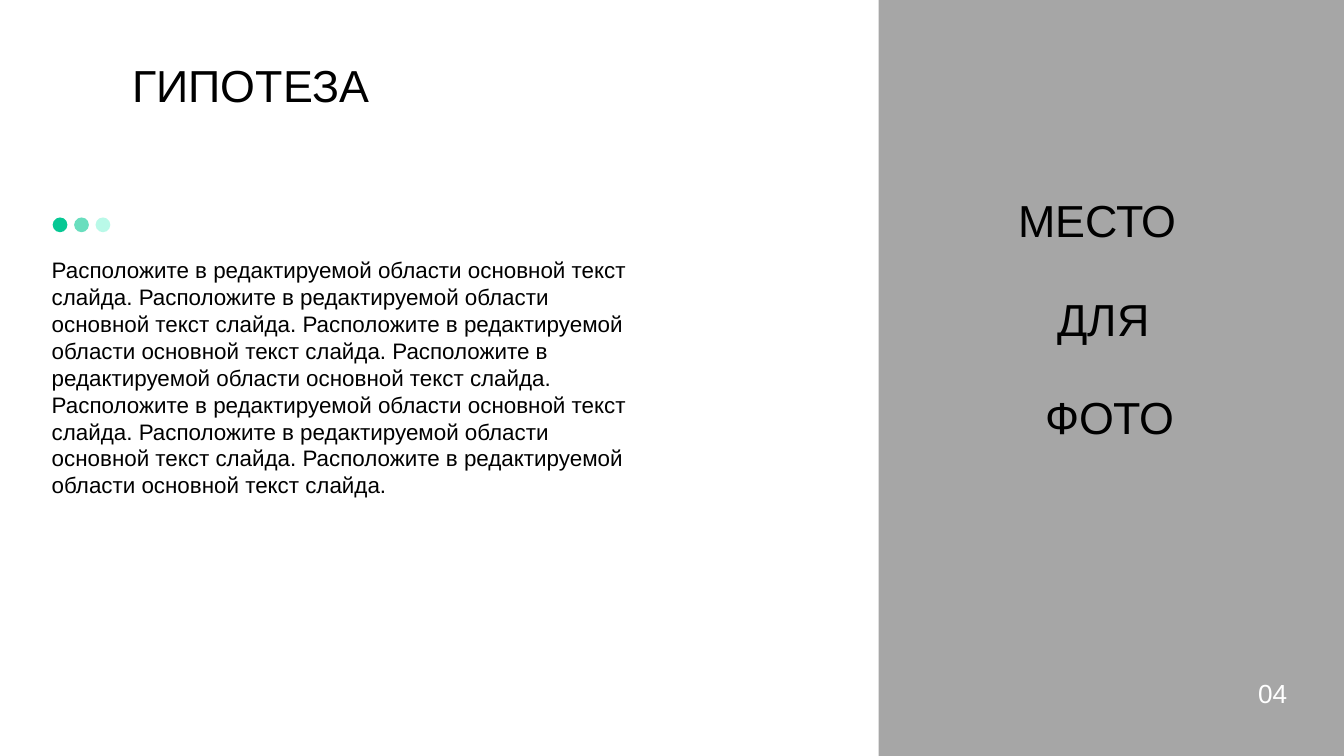
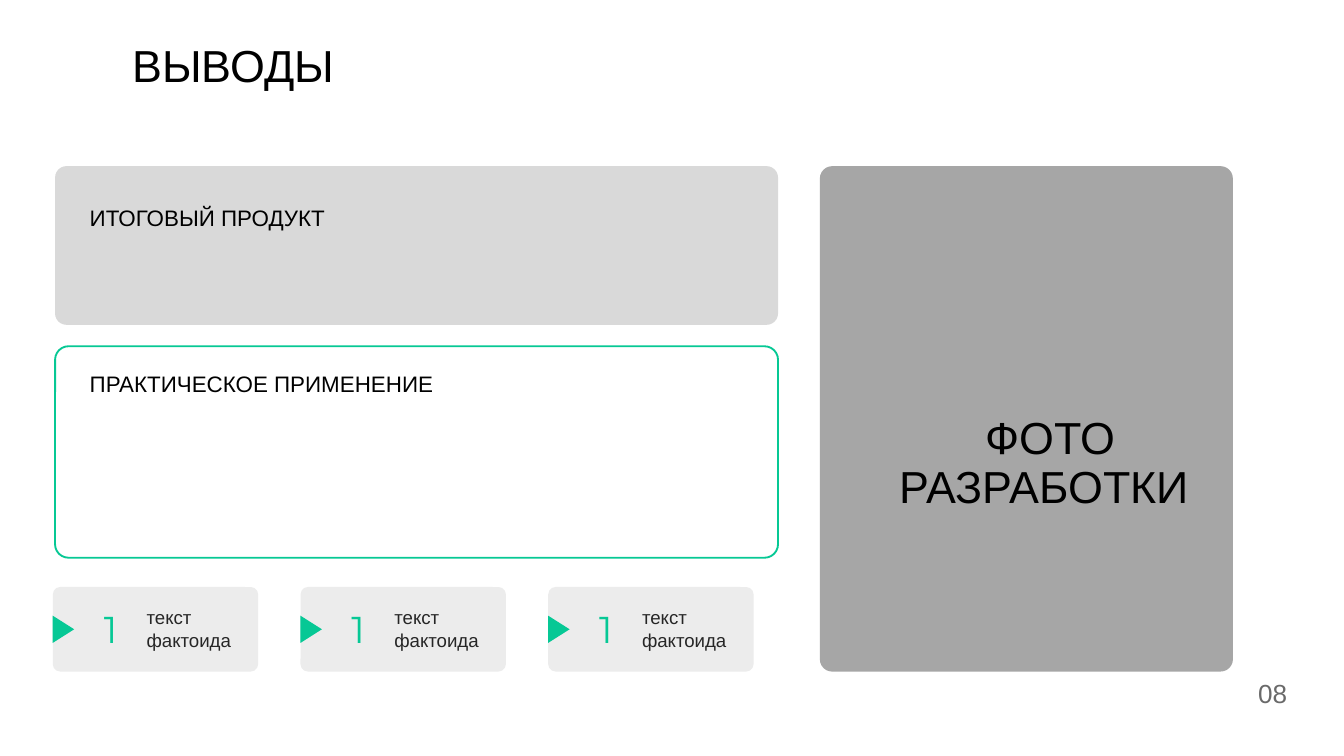
"""Build the hypothesis and conclusions slides."""
import pptx
import pptx.dml.color
import pptx.enum.shapes
import pptx.enum.text
import pptx.oxml
import pptx.oxml.ns
import pptx.util

Pt = pptx.util.Pt
colour = pptx.dml.color.RGBColor.from_string
KIND = pptx.enum.shapes.MSO_SHAPE
ALIGN = pptx.enum.text.PP_ALIGN
GREEN, PHOTO, BLACK = "06C894", "A6A6A6", "000000"
TIGHT, WIDE = (5.4, 2.7), (7.2, 3.6)
HEADING = {"line_spacing": 0.9, "alignment": ALIGN.LEFT}
CAPTION = {"line_spacing": 0.9, "alignment": ALIGN.CENTER}


def draw(shapes, kind, at, fill=None, line=None, corner=None, opacity=100):
    """Add a preset shape, in points, with a plain fill or outline."""
    shape = shapes.add_shape(kind, *map(Pt, at))
    shape.shadow.inherit = False
    if corner:
        shape.adjustments[0] = corner
    if fill:
        shape.fill.solid()
        shape.fill.fore_color.rgb = colour(fill)
    else:
        shape.fill.background()
    if line:
        shape.line.color.rgb = colour(line)
        shape.line.width = Pt(1)
    else:
        shape.line.fill.background()
    if opacity < 100:
        tint = shape.fill._xPr.find(".//" + pptx.oxml.ns.qn("a:srgbClr"))
        alpha = pptx.oxml.parse_xml(f'<a:alpha {pptx.oxml.ns.nsdecls("a")} val="{opacity * 1000}"/>')
        tint.append(alpha)
    return shape


def write(box, at, lines, size, ink=BLACK, inset=TIGHT, font="Arial", layout={}):
    """Place a text holder, in points, and fill it with formatted paragraphs."""
    for name, value in zip(("left", "top", "width", "height"), at):
        setattr(box, name, Pt(value))
    frame = box.text_frame
    frame_format = {
        "word_wrap": True,
        "auto_size": pptx.enum.text.MSO_AUTO_SIZE.NONE,
        "vertical_anchor": pptx.enum.text.MSO_ANCHOR.TOP,
        "margin_left": Pt(inset[0]), "margin_right": Pt(inset[0]),
        "margin_top": Pt(inset[1]), "margin_bottom": Pt(inset[1]),
    }
    for name, value in frame_format.items():
        setattr(frame, name, value)
    for index, line in enumerate(lines):
        para = frame.add_paragraph() if index else frame.paragraphs[0]
        for name, value in layout.items():
            if index or name != "space_before":
                setattr(para, name, value)
        span = para.add_run()
        span.text = line
        for name, value in {"size": Pt(size), "name": font}.items():
            setattr(span.font, name, value)
        span.font.color.rgb = colour(ink)


deck = pptx.Presentation()
deck.slide_width, deck.slide_height = Pt(720), Pt(405)
pages = []
for title, title_top in (("ГИПОТЕЗА", 31.7), ("ВЫВОДЫ", 20.9)):
    page = deck.slides.add_slide(deck.slide_layouts[5])
    write(page.shapes.title, (65.5, title_top, 289.5, 33), [title], 24, layout=HEADING)
    pages.append(page)
hypothesis, conclusions = [page.shapes for page in pages]

draw(hypothesis, KIND.RECTANGLE, (470.7, 0, 249.3, 405), PHOTO)
sentence = "Расположите в редактируемой области основной текст слайда."
body = hypothesis.add_textbox(0, 0, 0, 0)
write(body, (22.3, 134.7, 320.4, 136), [" ".join([sentence] * 7)], 12)
dots = hypothesis.add_group_shape().shapes
for index, (fill, opacity) in enumerate(((GREEN, 100), (GREEN, 60), ("07EBAF", 28))):
    draw(dots, KIND.OVAL, (28.2 + 11.5 * index, 116.5, 7.9, 7.9), fill, opacity=opacity)
photo_place = hypothesis.add_textbox(0, 0, 0, 0)
write(photo_place, (538.6, 103.7, 105.1, 137), ["МЕСТО ", "ДЛЯ", " ФОТО"], 24,
      layout={**CAPTION, "space_before": Pt(27)})

draw(conclusions, KIND.ROUNDED_RECTANGLE, (439.2, 89, 221.3, 270.8), PHOTO, corner=0.03)
draw(conclusions, KIND.ROUNDED_RECTANGLE, (29.5, 89, 387.3, 85), "D9D9D9", corner=0.072)
draw(conclusions, KIND.ROUNDED_RECTANGLE, (29.5, 185.5, 387.3, 113.3), line=GREEN, corner=0.064)
for heading, top in (("ИТОГОВЫЙ ПРОДУКТ", 106), ("ПРАКТИЧЕСКОЕ ПРИМЕНЕНИЕ", 194.8)):
    box = conclusions.add_textbox(0, 0, 0, 0)
    write(box, (41, top, 364.3, 21.8), [heading], 12, inset=WIDE)
for index in range(3):
    left = 28.3 + 132.7 * index
    card = conclusions.add_group_shape().shapes
    draw(card, KIND.ROUNDED_RECTANGLE, (left, 314.5, 110, 45.3), "ECECEC", corner=0.088)
    marker = draw(card, KIND.ISOSCELES_TRIANGLE, (left - 1.6, 331.4, 14.6, 11.5), "06C895")
    marker.rotation = 90
    number = card.add_textbox(0, 0, 0, 0)
    write(number, (left + 20.2, 321.4, 78.5, 31.5), ["1"], 20, "06C895", WIDE, "Montserrat")
    fact = card.add_textbox(0, 0, 0, 0)
    write(fact, (left + 43.2, 321.1, 61.2, 32.4), ["текст фактоида"], 10, "262626", WIDE)
photo_label = conclusions.add_textbox(0, 0, 0, 0)
write(photo_label, (473, 220.3, 172.8, 58), [" ФОТО", "РАЗРАБОТКИ"], 24, layout=CAPTION)

for page, number, ink in zip(pages, ("04", "08"), ("FFFFFF", "6A6A6A")):
    box = page.shapes.add_textbox(0, 0, 0, 0)
    write(box, (668.6, 360, 29.5, 22.3), [number], 14, ink)

deck.save("out.pptx")
